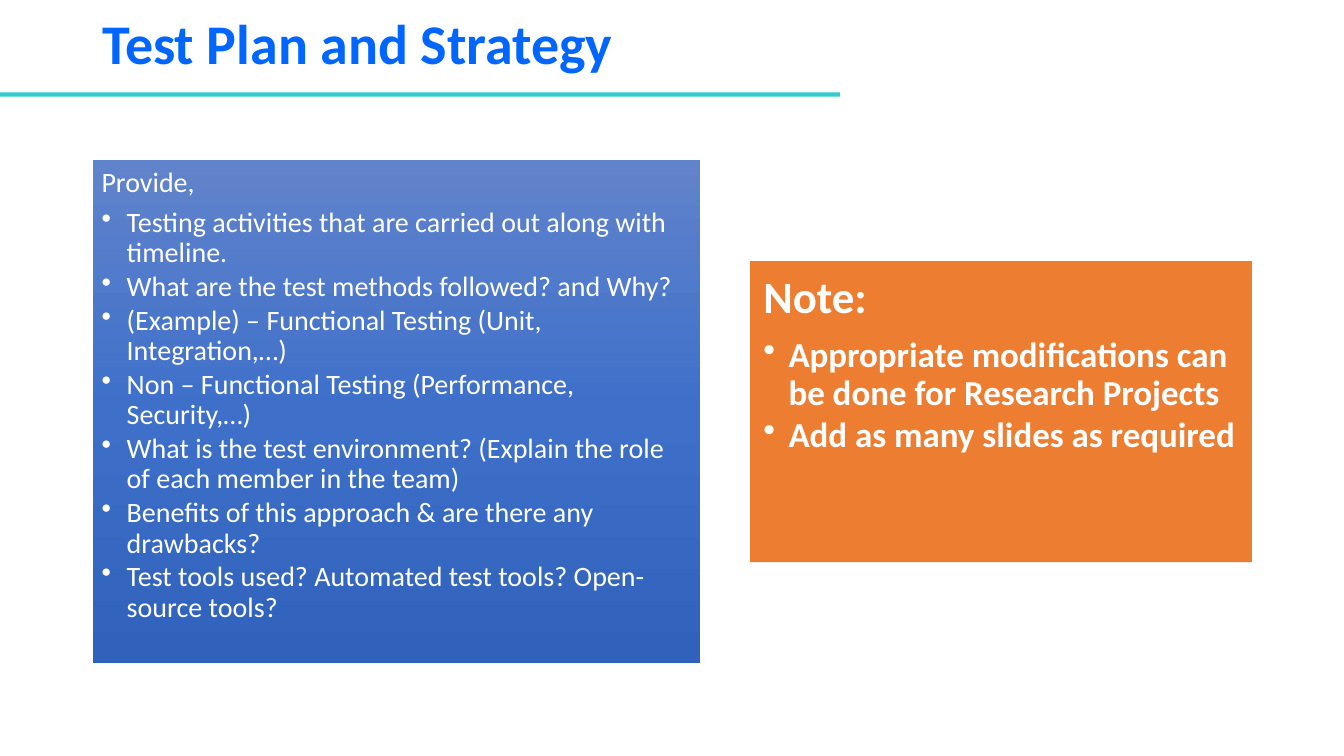
"""Build the Test Plan and Strategy slide."""
from copy import deepcopy

from lxml import etree
from pptx import Presentation
from pptx.dml.color import RGBColor
from pptx.enum.shapes import MSO_SHAPE
from pptx.enum.text import MSO_ANCHOR, PP_ALIGN
from pptx.oxml.ns import qn
from pptx.util import Pt

RECTANGLE = MSO_SHAPE.RECTANGLE
TOP, MIDDLE = MSO_ANCHOR.TOP, MSO_ANCHOR.MIDDLE
LEFT = PP_ALIGN.LEFT
WHITE = RGBColor(0xFF, 0xFF, 0xFF)
TITLE_BLUE = RGBColor(0x00, 0x66, 0xFF)
TEAL = RGBColor(0x33, 0xCC, 0xCC)
ORANGE = RGBColor(0xED, 0x7D, 0x31)
BLUES = [RGBColor(0x61, 0x83, 0xCB), RGBColor(0x3E, 0x70, 0xCA), RGBColor(0x30, 0x62, 0xBB)]
FONT = "Calibri"

PLAN_POINTS = [
    "Testing activities that are carried out along with timeline.",
    "What are the test methods followed? and Why?",
    "(Example) – Functional Testing (Unit, Integration,…)",
    "Non – Functional Testing (Performance, Security,…)",
    "What is the test environment? (Explain the role of each member in the team)",
    "Benefits of this approach & are there any drawbacks?",
    "Test tools used? Automated test tools? Open-source tools?",
]
NOTE_POINTS = [
    "Appropriate modifications can be done for Research Projects",
    "Add as many slides as required",
]


def add_panel(left, top, width, height):
    panel = page.shapes.add_shape(RECTANGLE, Pt(left), Pt(top), Pt(width), Pt(height))
    panel.shadow.inherit = False
    panel.line.fill.background()
    return panel


def style_line(para, size, color, bold):
    para.alignment = LEFT
    para.line_spacing = 0.9
    for span in para.runs:
        span.font.name = FONT
        span.font.size = Pt(size)
        span.font.color.rgb = color
        span.font.bold = bold


deck = Presentation()
deck.slide_width, deck.slide_height = Pt(960), Pt(540)
page = deck.slides.add_slide(deck.slide_layouts[6])

rule = add_panel(0, 66, 600, 3)
rule.fill.solid()
rule.fill.fore_color.rgb = TEAL

title = page.shapes.add_textbox(Pt(66), Pt(0), Pt(828), Pt(66))
title.text_frame.word_wrap = True
title.text_frame.vertical_anchor = MIDDLE
title.text_frame.text = "Test Plan and Strategy"
style_line(title.text_frame.paragraphs[0], 40, TITLE_BLUE, True)

plan = add_panel(66.5, 114.5, 433.5, 359.5)
plan.fill.gradient()
plan.fill.gradient_angle = 270
stop_list = plan.element.spPr.find(qn("a:gradFill")).find(qn("a:gsLst"))
stop_list.insert(1, deepcopy(stop_list[0]))
for index, stop in enumerate(plan.fill.gradient_stops):
    stop.position = index / 2
    stop.color.rgb = BLUES[index]

note = add_panel(535.75, 186.5, 358.5, 215)
note.fill.solid()
note.fill.fore_color.rgb = ORANGE

panels = [
    (plan, "Provide,", PLAN_POINTS, 20, 20, 6, False),
    (note, "Note:", NOTE_POINTS, 32, 25, 9.5, True),
]
for panel, heading, points, heading_size, point_size, inset, bold in panels:
    frame = panel.text_frame
    frame.word_wrap = True
    frame.vertical_anchor = TOP
    frame.margin_left = frame.margin_right = Pt(inset)
    frame.margin_top = frame.margin_bottom = Pt(inset)
    frame.text = heading
    frame.paragraphs[0].space_after = Pt(heading_size * 0.33)
    style_line(frame.paragraphs[0], heading_size, WHITE, bold)
    for point in points:
        para = frame.add_paragraph()
        para.text = point
        para.space_after = Pt(point_size * 0.13)
        style_line(para, point_size, WHITE, bold)
        properties = para._p.get_or_add_pPr()
        properties.set("marL", str(Pt(18)))
        properties.set("indent", str(Pt(-18)))
        etree.SubElement(properties, qn("a:buChar")).set("char", "•")

deck.save("out.pptx")
